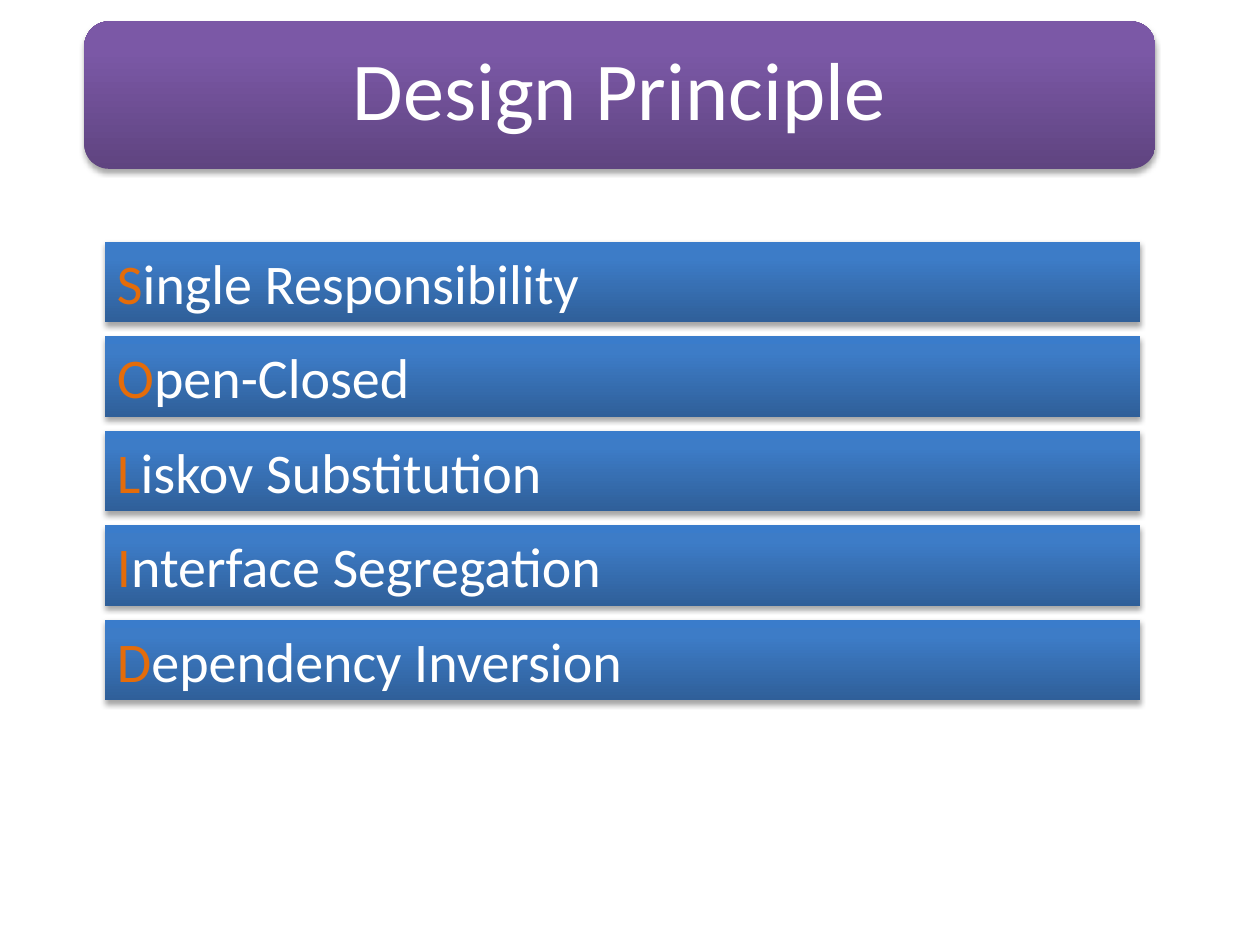
from copy import deepcopy
from typing import NamedTuple

from lxml import etree
from pptx import Presentation
from pptx.dml.color import RGBColor
from pptx.enum.shapes import MSO_SHAPE
from pptx.enum.text import MSO_ANCHOR, MSO_AUTO_SIZE, PP_ALIGN
from pptx.oxml.ns import qn
from pptx.util import Inches, Pt

FONT = "Calibri"
WHITE = "FFFFFF"
ORANGE = "E46C0A"
STOP_POSITIONS = (0, 0.8, 1)
PURPLE_STOPS = ("5F4480", "7B58A6", "7C57A8")
BLUE_STOPS = ("2F5F99", "3D7CC7", "3A7CCB")
PRINCIPLES = (
    "Single Responsibility",
    "Open-Closed",
    "Liskov Substitution",
    "Interface Segregation",
    "Dependency Inversion",
)
FIRST_BAR_TOP = 1.92
BAR_PITCH = 0.75


class Box(NamedTuple):
    """A position and size in inches."""
    left: float
    top: float
    width: float
    height: float

    def lengths(self) -> list[Inches]:
        return [Inches(value) for value in self]


def color(hex_code: str) -> RGBColor:
    return RGBColor.from_string(hex_code)


def add_shadow(shape) -> None:
    """Give the shape a soft shadow that falls straight down."""
    shape.shadow.inherit = False
    effects = shape.element.spPr.find(qn("a:effectLst"))
    shadow = etree.SubElement(
        effects, qn("a:outerShdw"), blurRad=str(Pt(3.1)), dist=str(Pt(1.8)),
        dir="5400000", rotWithShape="0")
    black = etree.SubElement(shadow, qn("a:srgbClr"), val="000000")
    etree.SubElement(black, qn("a:alpha"), val="35000")


def add_panel(shapes, kind: MSO_SHAPE, box: Box, stop_colors: tuple[str, ...]):
    """Add a borderless shape with a bottom-to-top gradient and a shadow."""
    panel = shapes.add_shape(kind, *box.lengths())
    panel.line.fill.background()
    panel.fill.gradient()
    panel.fill.gradient_angle = 90
    stop_list = panel.element.spPr.find(qn("a:gradFill")).find(qn("a:gsLst"))
    stop_list.append(deepcopy(stop_list[0]))
    for stop, position, hex_code in zip(
            panel.fill.gradient_stops, STOP_POSITIONS, stop_colors):
        stop.position = position
        stop.color.rgb = color(hex_code)
    add_shadow(panel)
    return panel


def add_title(slide, text: str) -> None:
    group = slide.shapes.add_group_shape()
    add_panel(group.shapes, MSO_SHAPE.ROUNDED_RECTANGLE,
              Box(0.67, 0.17, 8.5, 1.17), PURPLE_STOPS)
    label = group.shapes.add_textbox(*Box(0.72, 0.22, 8.39, 1.05).lengths())
    frame = label.text_frame
    frame.word_wrap = True
    frame.vertical_anchor = MSO_ANCHOR.MIDDLE
    frame.margin_left = frame.margin_right = Inches(0.2)
    frame.margin_top = frame.margin_bottom = Inches(0.2)
    paragraph = frame.paragraphs[0]
    paragraph.text = text
    paragraph.alignment = PP_ALIGN.CENTER
    paragraph.line_spacing = 0.9
    paragraph.font.name = FONT
    paragraph.font.size = Pt(47)
    paragraph.font.color.rgb = color(WHITE)


def add_principle(slide, text: str, top: float) -> None:
    """Add a bar whose text starts with a highlighted initial."""
    bar = add_panel(slide.shapes, MSO_SHAPE.RECTANGLE,
                    Box(0.83, top, 8.22, 0.64), BLUE_STOPS)
    frame = bar.text_frame
    frame.word_wrap = True
    frame.auto_size = MSO_AUTO_SIZE.SHAPE_TO_FIT_TEXT
    frame.vertical_anchor = MSO_ANCHOR.TOP
    paragraph = frame.paragraphs[0]
    paragraph.alignment = PP_ALIGN.LEFT
    paragraph.font.name = FONT
    paragraph.font.size = Pt(32)
    for part, hex_code in ((text[0], ORANGE), (text[1:], WHITE)):
        run = paragraph.add_run()
        run.text = part
        run.font.color.rgb = color(hex_code)


def main() -> None:
    presentation = Presentation()
    presentation.slide_width = Inches(10)
    presentation.slide_height = Inches(7.5)
    slide = presentation.slides.add_slide(presentation.slide_layouts[6])
    add_title(slide, "Design Principle")
    for index, principle in enumerate(PRINCIPLES):
        add_principle(slide, principle, FIRST_BAR_TOP + index * BAR_PITCH)
    presentation.save("out.pptx")


if __name__ == "__main__":
    main()
